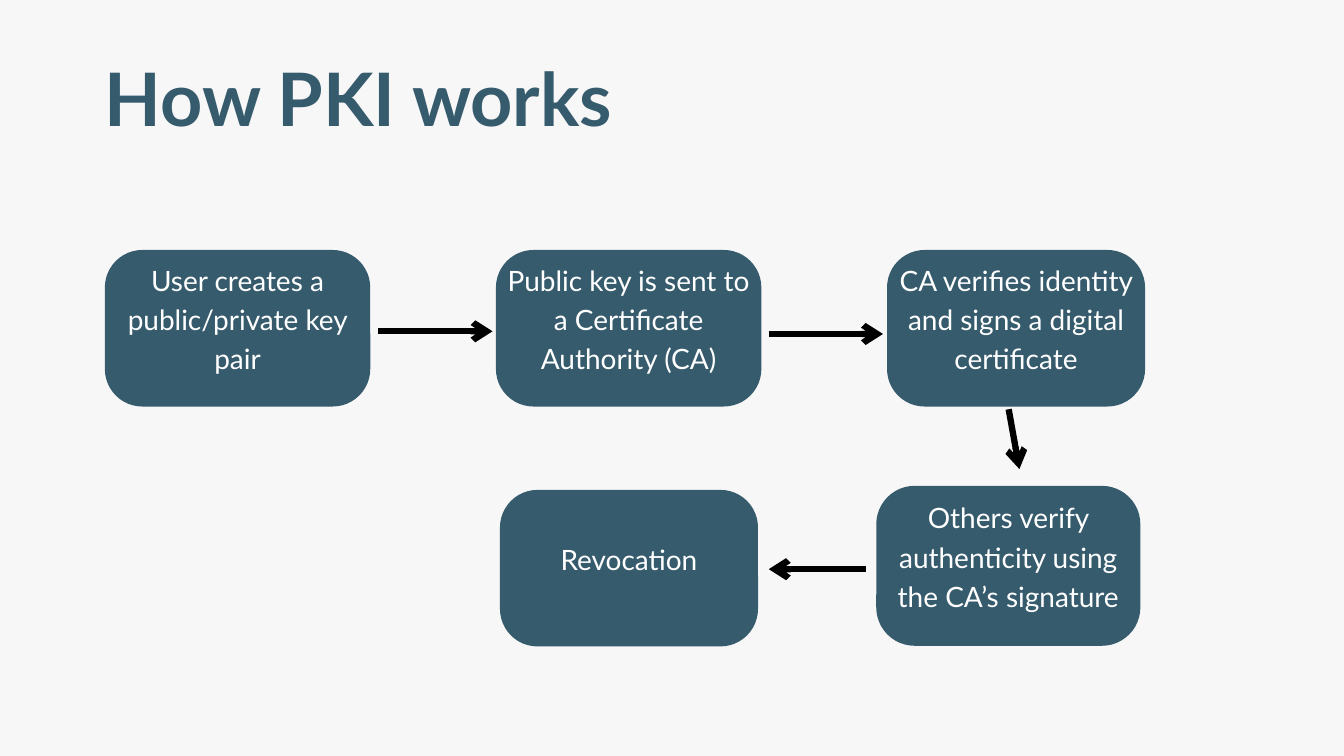
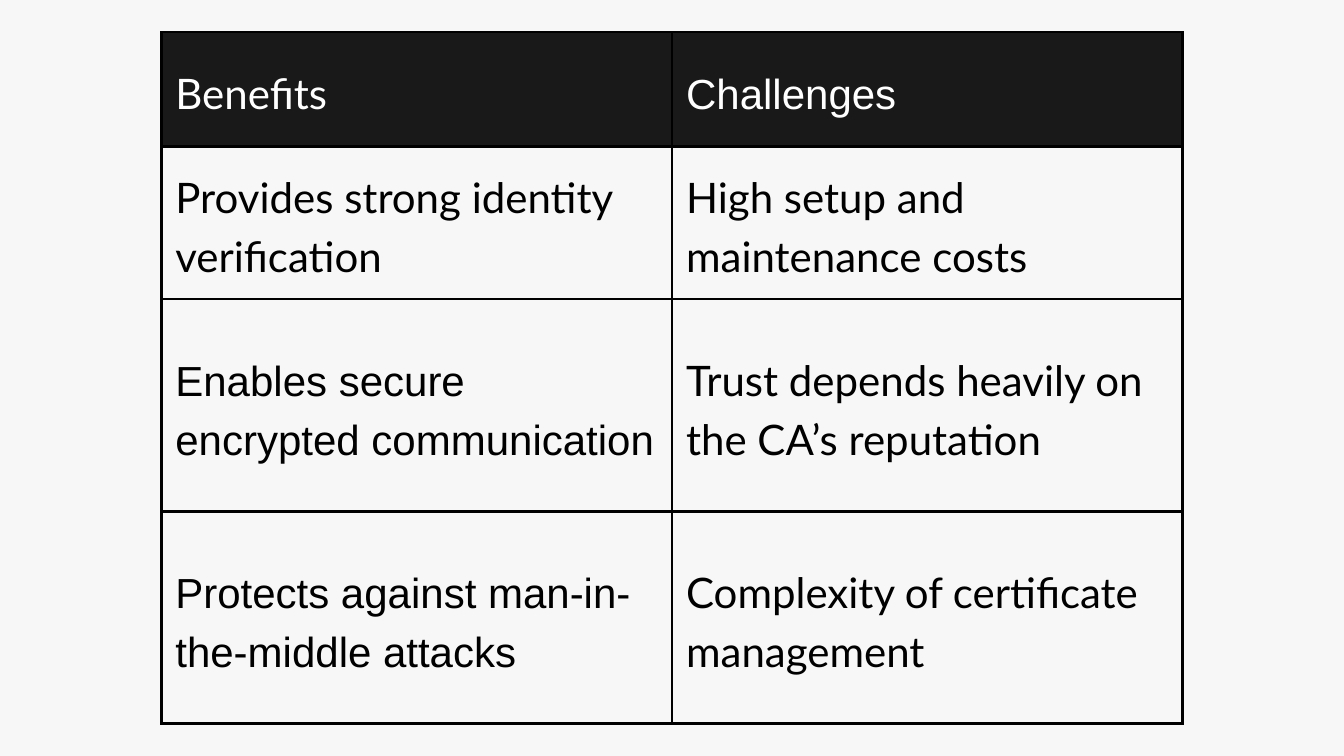
from lxml import etree
from pptx import Presentation
from pptx import util as u
from pptx.dml.color import RGBColor
from pptx.enum import shapes, text
from pptx.oxml import ns

PAPER = RGBColor(0xF7, 0xF7, 0xF7)
TEAL = RGBColor(0x36, 0x5B, 0x6D)
CHARCOAL = RGBColor(0x19, 0x19, 0x19)
WHITE = RGBColor(0xFF, 0xFF, 0xFF)
BLACK = RGBColor(0, 0, 0)


def style(paragraph, size, spacing, color, font="Lato", bold=False):
    paragraph.line_spacing = u.Pt(spacing)
    for run in paragraph.runs:
        run.font.name = font
        run.font.size = u.Pt(size)
        run.font.bold = bold
        run.font.color.rgb = color


def add_line_part(parent, tag, **attributes):
    return etree.SubElement(parent, ns.qn(tag), **attributes)


prs = Presentation()
prs.slide_width, prs.slide_height = u.Inches(20), u.Inches(11.25)
prs.slide_master.background.fill.solid()
prs.slide_master.background.fill.fore_color.rgb = PAPER
TITLE_ONLY, BLANK = prs.slide_layouts[5], prs.slide_layouts[6]

LEFT = 1.56
COLUMN = 5.82
ROWS = (3.72, 7.29)

process = prs.slides.add_slide(TITLE_ONLY)
title = process.shapes.title
title.left, title.top = u.Inches(LEFT), u.Inches(0.57)
title.width, title.height = u.Inches(20 - 2 * LEFT), u.Inches(1.49)
heading = title.text_frame
heading.text = "How PKI works"
heading.auto_size = text.MSO_AUTO_SIZE.NONE
heading.vertical_anchor = text.MSO_ANCHOR.TOP
heading.margin_left = heading.margin_right = 0
heading.margin_top = heading.margin_bottom = 0
heading.paragraphs[0].alignment = text.PP_ALIGN.LEFT
style(heading.paragraphs[0], 79, 110.6, TEAL, bold=True)

steps = [
    ("User creates a public/private key pair", 0, 0, 0, 0, 3.95, 2.33),
    ("Public key is sent to a Certificate Authority (CA)", 1, 0, 0, 0, 3.95, 2.33),
    ("CA verifies identity and signs a digital certificate", 2, 0, 0, 0, 3.84, 2.33),
    ("Others verify authenticity using the CA’s signature", 2, 1, -0.16, -0.06, 3.93, 2.38),
    ("Revocation", 1, 1, 0.06, 0, 3.84, 2.33),
]
for wording, column, row, shift_x, shift_y, width, height in steps:
    step = process.shapes.add_shape(
        shapes.MSO_SHAPE.ROUNDED_RECTANGLE,
        u.Inches(LEFT + column * COLUMN + shift_x), u.Inches(ROWS[row] + shift_y),
        u.Inches(width), u.Inches(height))
    step.adjustments[0] = 0.24
    step.shadow.inherit = False
    step.fill.solid()
    step.fill.fore_color.rgb = TEAL
    step.line.fill.background()
    label = step.text_frame
    label.text = wording
    label.word_wrap = True
    label.vertical_anchor = text.MSO_ANCHOR.MIDDLE
    label.margin_left = label.margin_right = label.margin_top = 0
    label.margin_bottom = u.Inches(0.35)
    label.paragraphs[0].alignment = text.PP_ALIGN.CENTER
    style(label.paragraphs[0], 30, 42, WHITE)

flow = [
    (5.62, 4.93, 7.33, 4.93),
    (11.44, 4.97, 13.14, 4.97),
    (15.01, 6.09, 15.17, 6.98),
    (12.88, 8.47, 11.44, 8.47),
]
for ends in flow:
    arrow = process.shapes.add_connector(
        shapes.MSO_CONNECTOR.STRAIGHT, *[u.Inches(end) for end in ends])
    arrow.line.color.rgb = BLACK
    arrow.line.width = u.Pt(6.75)
    add_line_part(arrow.line._get_or_add_ln(), "a:tailEnd", type="arrow")
    add_line_part(arrow._element.spPr, "a:effectLst")

comparison = [
    [("Benefits", "Lato"), ("Challenges", "Arial")],
    [("Provides strong identity verification", "Lato"),
     ("High setup and maintenance costs", "Lato")],
    [("Enables secure encrypted communication", "Arial"),
     ("Trust depends heavily on the CA’s reputation", "Lato")],
    [("Protects against man-in-the-middle attacks", "Arial"),
     ("Complexity of certificate management", "Lato")],
]
row_heights = (1.7, 2.27, 3.16, 3.16)

tradeoffs = prs.slides.add_slide(BLANK)
table = tradeoffs.shapes.add_table(
    len(comparison), 2, u.Inches(2.4), u.Inches(0.48),
    u.Inches(15.2), u.Inches(sum(row_heights))).table
table.first_row = table.horz_banding = False
for row, height in zip(table.rows, row_heights):
    row.height = u.Inches(height)

for r, entries in enumerate(comparison):
    for c, (wording, font) in enumerate(entries):
        cell = table.cell(r, c)
        cell.text = wording
        cell.vertical_anchor = text.MSO_ANCHOR.MIDDLE
        cell.margin_left = cell.margin_right = u.Inches(0.21)
        cell.margin_top = cell.margin_bottom = u.Inches(0.21)
        style(cell.text_frame.paragraphs[0], 45, 63, BLACK if r else WHITE, font)
        borders = cell._tc.get_or_add_tcPr()
        for side in ("a:lnL", "a:lnR", "a:lnT", "a:lnB"):
            border = add_line_part(borders, side, w=str(u.Pt(3)))
            ink = add_line_part(border, "a:solidFill")
            add_line_part(ink, "a:srgbClr", val=str(BLACK))
        if r:
            cell.fill.background()
        else:
            cell.fill.solid()
            cell.fill.fore_color.rgb = CHARCOAL

prs.save("out.pptx")
